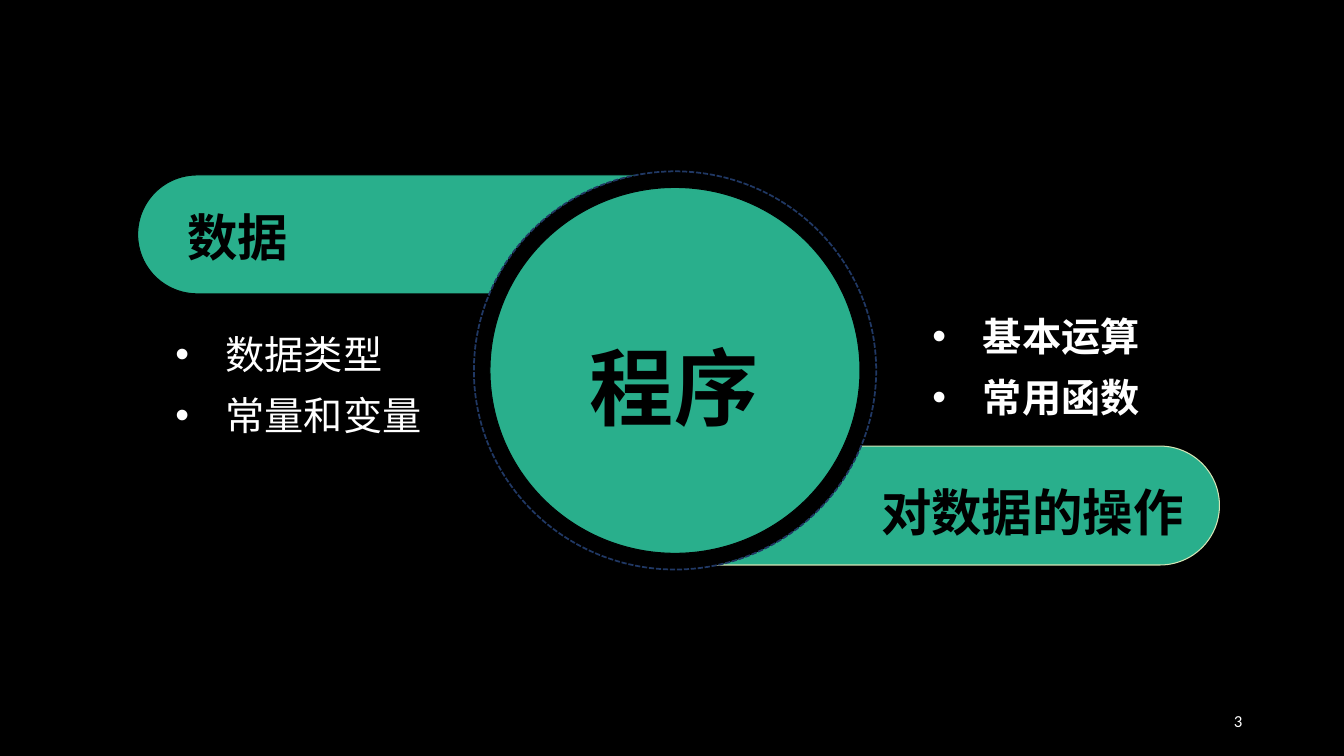
from lxml.etree import SubElement
from pptx import Presentation
from pptx.dml.color import RGBColor
from pptx.enum.dml import MSO_LINE
from pptx.enum.shapes import MSO_SHAPE
from pptx.enum.text import MSO_ANCHOR, MSO_AUTO_SIZE, PP_ALIGN
from pptx.oxml.ns import qn
from pptx.util import Inches, Pt

BLACK = "000000"
WHITE = "FFFFFF"
GREEN = "29AF8C"
NAVY = "203864"
PALE_GREEN = "D5E5B6"
CHINESE_FONT = "Noto Sans CJK SC"


def color(value):
    return RGBColor.from_string(value)


def write(paragraph, text, size=28, font=CHINESE_FONT, fill=BLACK, bold=False,
          align=PP_ALIGN.LEFT, spacing=1.3, bullet=False):
    if bullet:
        properties = paragraph._p.get_or_add_pPr()
        properties.set("marL", str(Inches(0.5)))
        properties.set("indent", str(-Inches(0.5)))
        SubElement(properties, qn("a:buFont"), typeface="Arial")
        SubElement(properties, qn("a:buChar"), char="•")
    paragraph.alignment = align
    paragraph.line_spacing = spacing
    run = paragraph.add_run()
    run.text = text
    run.font.name = font
    run.font.size = Pt(size)
    run.font.bold = bold
    run.font.color.rgb = color(fill)
    SubElement(run._r.get_or_add_rPr(), qn("a:ea"), typeface=CHINESE_FONT)


class ProgramSlide:
    def __init__(self, presentation):
        self.slide = presentation.slides.add_slide(presentation.slide_layouts[6])
        background = self.slide.background.fill
        background.solid()
        background.fore_color.rgb = color(BLACK)

    def add_shape(self, kind, left, top, width, height, fill, line, line_width=0.75):
        shape = self.slide.shapes.add_shape(
            kind, Inches(left), Inches(top), Inches(width), Inches(height))
        shape.shadow.inherit = False
        shape.fill.solid()
        shape.fill.fore_color.rgb = color(fill)
        shape.line.color.rgb = color(line)
        shape.line.width = Pt(line_width)
        return shape

    def add_tab(self, left, top, rotation, line):
        tab = self.add_shape(
            MSO_SHAPE.ROUND_2_SAME_RECTANGLE, left, top, 1.18, 5.41, GREEN, line)
        tab.adjustments[0] = 0.5
        tab.adjustments[1] = 0
        tab.rotation = rotation

    def add_circle(self, left, top, width, height, fill, line, line_width=0.75, dash=None):
        circle = self.add_shape(
            MSO_SHAPE.OVAL, left, top, width, height, fill, line, line_width)
        if dash:
            circle.line.dash_style = dash

    def add_text(self, left, top, width, height, lines, anchor=MSO_ANCHOR.TOP,
                 wrap=True, grow=True, **style):
        box = self.slide.shapes.add_textbox(
            Inches(left), Inches(top), Inches(width), Inches(height))
        frame = box.text_frame
        frame.word_wrap = wrap
        frame.auto_size = MSO_AUTO_SIZE.SHAPE_TO_FIT_TEXT if grow else MSO_AUTO_SIZE.NONE
        frame.vertical_anchor = anchor
        for index, line in enumerate(lines):
            paragraph = frame.add_paragraph() if index else frame.paragraphs[0]
            write(paragraph, line, **style)

    def add_bullets(self, left, top, width, lines, bold=False):
        self.add_text(left, top, width, 1.27, lines, wrap=False,
                      font="Roboto", fill=WHITE, bold=bold, bullet=True)


def main():
    presentation = Presentation()
    presentation.slide_width = Inches(13.33)
    presentation.slide_height = Inches(7.5)
    page = ProgramSlide(presentation)

    page.add_tab(8.8, 2.31, 90, PALE_GREEN)
    page.add_tab(3.48, -0.38, 270, BLACK)
    page.add_circle(4.7, 1.7, 3.99, 3.95, BLACK, NAVY, 1.25, MSO_LINE.SQUARE_DOT)
    page.add_circle(4.86, 1.86, 3.67, 3.63, GREEN, BLACK)

    page.add_text(5.46, 2.97, 2.45, 1.41, ["程序"], anchor=MSO_ANCHOR.MIDDLE,
                  size=60, bold=True, align=PP_ALIGN.CENTER)
    page.add_text(1.76, 1.85, 1.58, 0.81, ["数据"], anchor=MSO_ANCHOR.MIDDLE,
                  size=36, bold=True)
    page.add_text(8.64, 4.54, 3.58, 0.81, ["对数据的操作"], size=36, bold=True)
    page.add_bullets(1.64, 3.09, 2.67, ["数据类型", "常量和变量"])
    page.add_bullets(9.15, 2.91, 2.28, ["基本运算", "常用函数"], bold=True)
    page.add_text(9.42, 6.95, 3, 0.4, ["3"], anchor=MSO_ANCHOR.MIDDLE, grow=False,
                  size=12, font="Calibri", fill=WHITE, align=PP_ALIGN.RIGHT, spacing=1.0)

    presentation.save("out.pptx")


if __name__ == "__main__":
    main()
